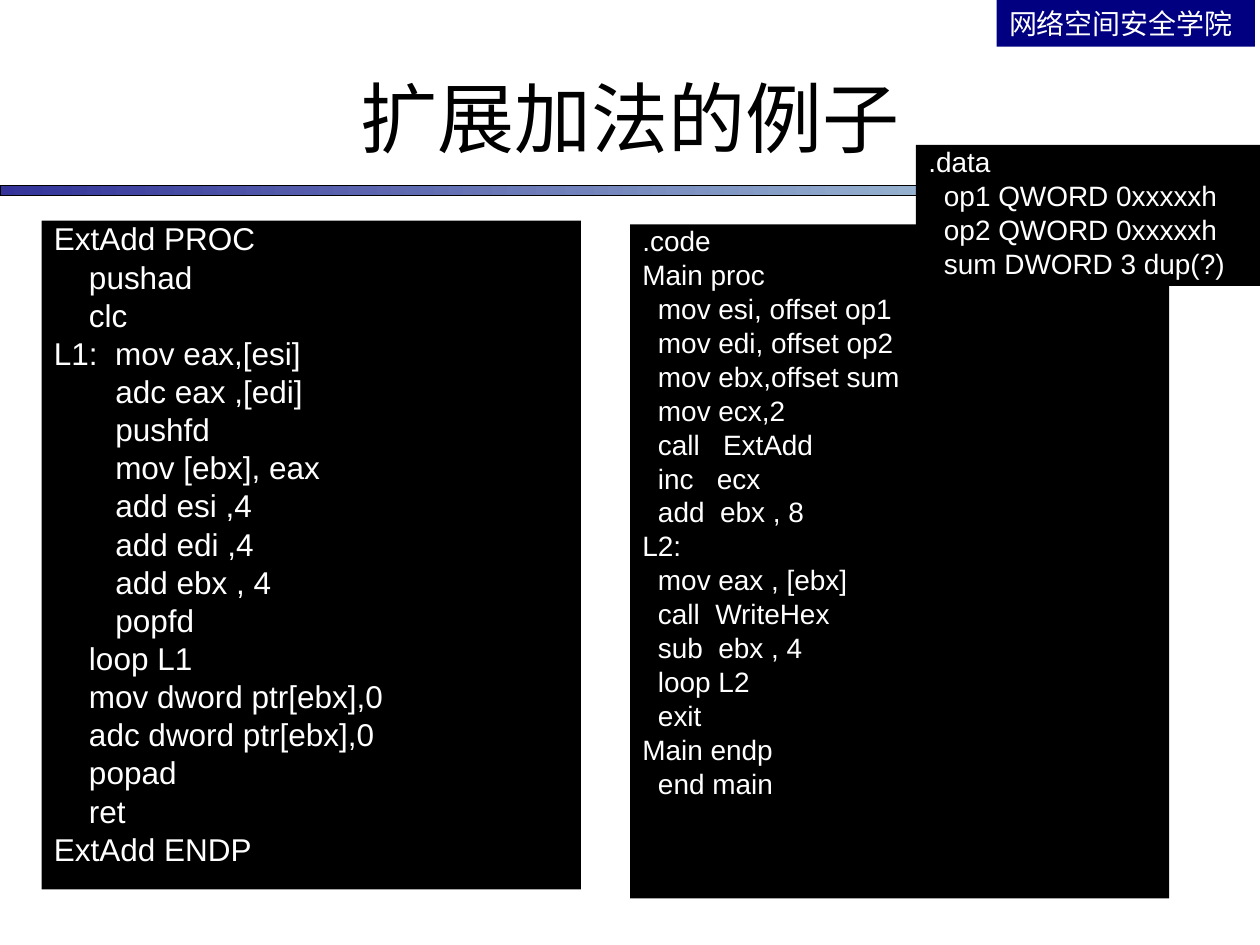
from dataclasses import dataclass

from pptx import Presentation
from pptx.dml.color import RGBColor
from pptx.enum.shapes import MSO_SHAPE
from pptx.enum.text import MSO_ANCHOR, PP_ALIGN
from pptx.util import Inches, Pt

RECTANGLE = MSO_SHAPE.RECTANGLE
LEFT, CENTER = PP_ALIGN.LEFT, PP_ALIGN.CENTER
TOP, MIDDLE = MSO_ANCHOR.TOP, MSO_ANCHOR.MIDDLE


@dataclass(frozen=True)
class Theme:
    font: str = "Arial"
    black: RGBColor = RGBColor(0, 0, 0)
    white: RGBColor = RGBColor(255, 255, 255)
    navy: RGBColor = RGBColor(0, 0, 128)
    rule_start: RGBColor = RGBColor(0x33, 0x33, 0x99)
    rule_end: RGBColor = RGBColor(0xBB, 0xE0, 0xE3)
    title_size: int = 44
    large_code_size: int = 18
    small_size: int = 16
    line_spacing: float = 0.8
    space_before: float = 0.25  # share of the type size
    space_width: float = 0.278  # Arial space, share of the type size


THEME = Theme()

TITLE = "扩展加法的例子"
SCHOOL = "网络空间安全学院"

PROCEDURE_CODE = """\
ExtAdd PROC
    pushad
    clc
L1:  mov eax,[esi]
       adc eax ,[edi]
       pushfd
       mov [ebx], eax
       add esi ,4
       add edi ,4
       add ebx , 4
       popfd
    loop L1
    mov dword ptr[ebx],0
    adc dword ptr[ebx],0
    popad
    ret
ExtAdd ENDP"""

MAIN_CODE = """\
.code
Main proc
  mov esi, offset op1
  mov edi, offset op2
  mov ebx,offset sum
  mov ecx,2
  call   ExtAdd
  inc   ecx
  add  ebx , 8
L2:
  mov eax , [ebx]
  call  WriteHex
  sub  ebx , 4
  loop L2
  exit
Main endp
  end main"""

DATA_CODE = """\
.data
  op1 QWORD 0xxxxxh
  op2 QWORD 0xxxxxh
  sum DWORD 3 dup(?)"""


def add_rectangle(page, box):
    shape = page.shapes.add_shape(RECTANGLE, *map(Inches, box))
    shape.shadow.inherit = False
    shape.line.fill.background()
    return shape


def add_panel(page, box, color):
    panel = add_rectangle(page, box)
    panel.fill.solid()
    panel.fill.fore_color.rgb = color
    panel.text_frame.word_wrap = True
    panel.text_frame.vertical_anchor = TOP
    return panel


def write_span(para, text, size, color, align=LEFT):
    para.alignment = align
    span = para.add_run()
    span.text = text
    span.font.name = THEME.font
    span.font.size = Pt(size)
    span.font.color.rgb = color


def add_rule(page, box):
    rule = add_rectangle(page, box)
    rule.fill.gradient()
    rule.fill.gradient_angle = 0
    for stop, color in zip(rule.fill.gradient_stops, (THEME.rule_start, THEME.rule_end)):
        stop.color.rgb = color
    rule.line.color.rgb = THEME.black
    rule.line.width = Pt(0.75)


def add_school_badge(page, box):
    badge = add_panel(page, box, THEME.navy)
    write_span(badge.text_frame.paragraphs[0], SCHOOL, THEME.small_size, THEME.white)


def add_title(page, box):
    frame = page.shapes.add_textbox(*map(Inches, box)).text_frame
    frame.word_wrap = True
    frame.vertical_anchor = MIDDLE
    write_span(frame.paragraphs[0], TITLE, THEME.title_size, THEME.black, CENTER)


def add_code_panel(page, box, code, size):
    """Show code on black, turning leading spaces into paragraph indents."""
    frame = add_panel(page, box, THEME.black).text_frame
    for index, line in enumerate(code.splitlines()):
        para = frame.add_paragraph() if index else frame.paragraphs[0]
        text = line.lstrip()
        depth = len(line) - len(text)
        properties = para._p.get_or_add_pPr()
        properties.set("marL", str(Pt(depth * size * THEME.space_width)))
        properties.set("indent", "0")
        para.line_spacing = THEME.line_spacing
        para.space_before = Pt(size * THEME.space_before)
        write_span(para, text, size, THEME.white)


def main():
    deck = Presentation()
    deck.slide_width, deck.slide_height = Inches(10), Inches(7.5)
    page = deck.slides.add_slide(deck.slide_layouts[6])

    add_rule(page, (0, 1.47, 10, 0.08))
    add_school_badge(page, (7.91, 0, 2.05, 0.37))
    add_title(page, (0.5, 0.3, 9, 1.25))
    add_code_panel(page, (0.33, 1.75, 4.28, 5.31), PROCEDURE_CODE, THEME.large_code_size)
    add_code_panel(page, (5, 1.78, 4.28, 5.35), MAIN_CODE, THEME.small_size)
    add_code_panel(page, (7.27, 1.15, 2.73, 1.12), DATA_CODE, THEME.small_size)

    deck.save("out.pptx")


if __name__ == "__main__":
    main()
